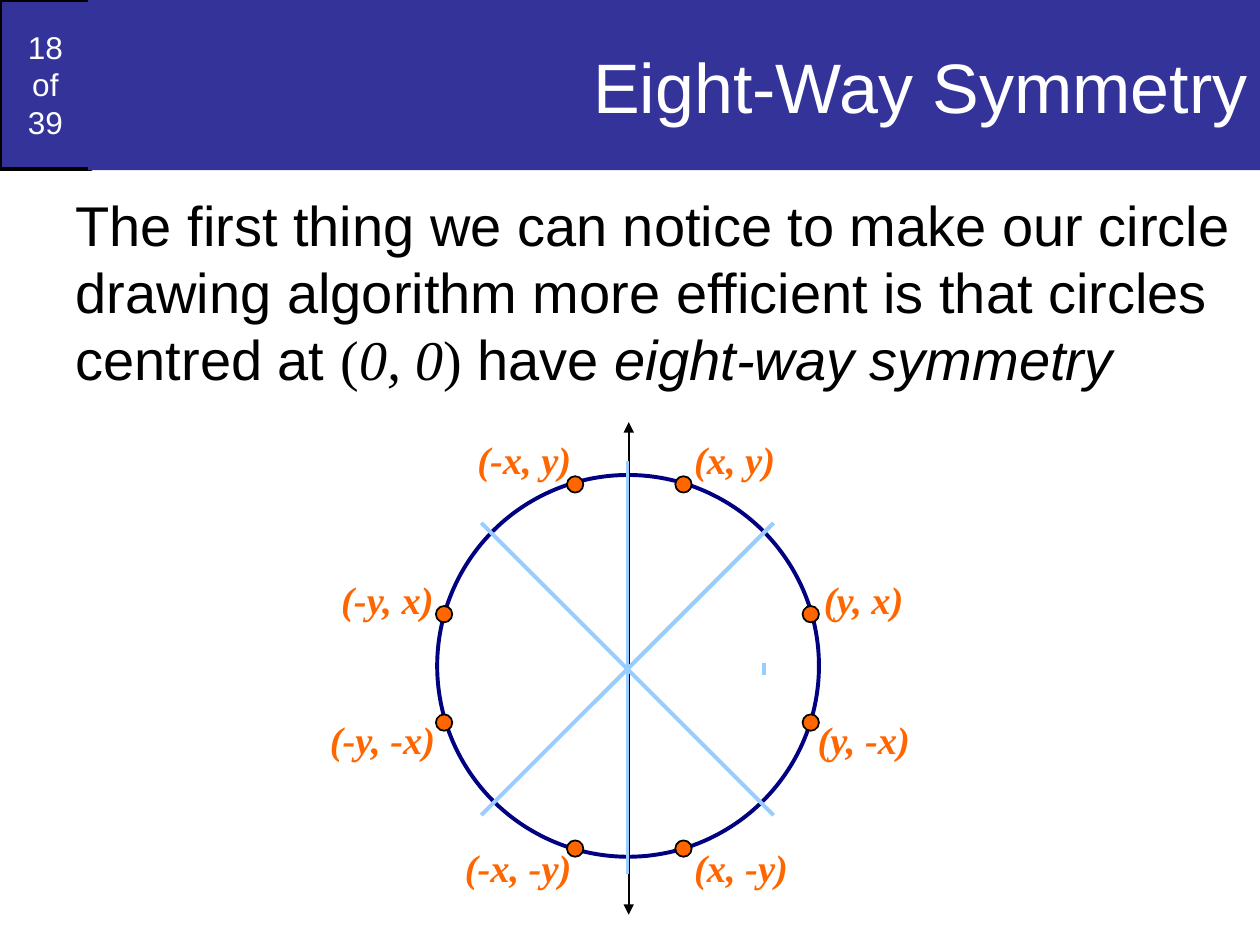
import pptx
import pptx.util
import pptx.dml.color
import pptx.enum.shapes
import pptx.enum.text
import pptx.oxml.ns
from lxml import etree

Inches = pptx.util.Inches
Pt = pptx.util.Pt
RGB = pptx.dml.color.RGBColor.from_string
SHAPE = pptx.enum.shapes.MSO_SHAPE
ALIGN = pptx.enum.text.PP_ALIGN
ANCHOR = pptx.enum.text.MSO_ANCHOR
qn = pptx.oxml.ns.qn

COLORS = {"banner": "333399", "white": "FFFFFF", "black": "000000",
          "circle": "000080", "point": "FF6600", "axis": "99CCFF"}


def write(p, text, size, color, font="Arial", bold=False, italic=False):
    r = p.add_run()
    r.text = text
    r.font.size = Pt(size)
    r.font.name = font
    r.font.bold = bold
    r.font.italic = italic
    r.font.color.rgb = RGB(COLORS[color])


def draw_line(shapes, x1, y1, x2, y2, color, width):
    line = shapes.add_connector(pptx.enum.shapes.MSO_CONNECTOR.STRAIGHT,
                                Inches(x1), Inches(y1), Inches(x2), Inches(y2))
    line.line.color.rgb = RGB(COLORS[color])
    line.line.width = Pt(width)
    etree.SubElement(line._element.spPr, qn("a:effectLst"))
    return line


prs = pptx.Presentation()
prs.slide_width = Inches(10)
prs.slide_height = Inches(7.5)
s = prs.slides.add_slide(prs.slide_layouts[1])

badge = s.shapes.add_shape(SHAPE.RECTANGLE, 0, 0, Inches(0.72), Inches(1.34))
badge.shadow.inherit = False
badge.fill.solid()
badge.fill.fore_color.rgb = RGB(COLORS["banner"])
badge.line.color.rgb = RGB(COLORS["black"])
badge.line.width = Pt(2.25)
tf = badge.text_frame
tf.vertical_anchor = ANCHOR.MIDDLE
for i, text in enumerate(["18", "of", "39"]):
    p = tf.add_paragraph() if i else tf.paragraphs[0]
    p.alignment = ALIGN.CENTER
    write(p, text, 18, "white")
s.shapes._spTree.insert(2, badge._element)

title = s.shapes.title
title.left, title.top = Inches(0.7), 0
title.width, title.height = Inches(9.3), Inches(1.35)
title.fill.solid()
title.fill.fore_color.rgb = RGB(COLORS["banner"])
tf = title.text_frame
tf.auto_size = pptx.enum.text.MSO_AUTO_SIZE.NONE
tf.vertical_anchor = ANCHOR.MIDDLE
p = tf.paragraphs[0]
p.alignment = ALIGN.RIGHT
write(p, "Eight-Way Symmetry", 40, "white")

body = s.placeholders[1]
body.left, body.top = Inches(0.5), Inches(1.46)
body.width, body.height = Inches(9.5), Inches(6.04)
tf = body.text_frame
tf.auto_size = pptx.enum.text.MSO_AUTO_SIZE.NONE
p = tf.paragraphs[0]
pPr = p._p.get_or_add_pPr()
pPr.set("marL", "0")
pPr.set("indent", "0")
etree.SubElement(pPr, qn("a:buNone"))
p.space_before = Pt(0)
for text, font, italic in [
    ("The first thing we can notice to make our circle drawing algorithm "
     "more efficient is that circles centred at ", "Arial", False),
    ("(", "Times New Roman", False),
    ("0, 0", "Times New Roman", True),
    (")", "Times New Roman", False),
    (" have ", "Arial", False),
    ("eight-way symmetry", "Arial", True),
]:
    write(p, text, 32, "black", font=font, italic=italic)

diagram = s.shapes.add_group_shape().shapes

arrow = draw_line(diagram, 4.99, 7.26, 4.99, 3.35, "black", 1)
ln = arrow.line._get_or_add_ln()
for end in ("a:headEnd", "a:tailEnd"):
    etree.SubElement(ln, qn(end), type="triangle")

circle = diagram.add_shape(SHAPE.OVAL, Inches(3.47), Inches(3.77), Inches(3.03), Inches(3.03))
circle.shadow.inherit = False
circle.fill.background()
circle.line.color.rgb = RGB(COLORS["circle"])
circle.line.width = Pt(2.25)

DOT = 0.13
dots = [(x, y) for y in (3.78, 6.67) for x in (5.36, 4.5)]
dots += [(x, y) for x in (3.46, 6.37) for y in (5.67, 4.81)]
for x, y in dots:
    dot = diagram.add_shape(SHAPE.OVAL, Inches(x), Inches(y), Inches(DOT), Inches(DOT))
    dot.shadow.inherit = False
    dot.fill.solid()
    dot.fill.fore_color.rgb = RGB(COLORS["point"])
    dot.line.color.rgb = RGB(COLORS["black"])
    dot.line.width = Pt(1)

for text, x, y, width in [
    ("(x, y)", 5.41, 3.41, 0.85),
    ("(y, x)", 6.44, 4.52, 0.85),
    ("(y, -x)", 6.39, 5.63, 0.95),
    ("(x, -y)", 5.41, 6.65, 0.95),
    ("(-x, -y)", 3.59, 6.65, 1.05),
    ("(-y, -x)", 2.52, 5.63, 1.05),
    ("(-y, x)", 2.61, 4.52, 0.95),
    ("(-x, y)", 3.69, 3.41, 0.95),
]:
    label = diagram.add_textbox(Inches(x), Inches(y), Inches(width), Inches(0.47))
    label.text_frame.word_wrap = False
    write(label.text_frame.paragraphs[0], text, 22, "point",
          font="Times New Roman", bold=True, italic=True)

for ends in [
    (3.82, 6.47, 6.14, 4.15),
    (6.06, 5.26, 6.06, 5.36),
    (6.14, 6.47, 3.82, 4.15),
    (4.98, 6.91, 4.98, 3.66),
    (4.98, 6.94, 4.98, 3.69),
]:
    draw_line(diagram, *ends, "axis", 2.25)

prs.save("out.pptx")
